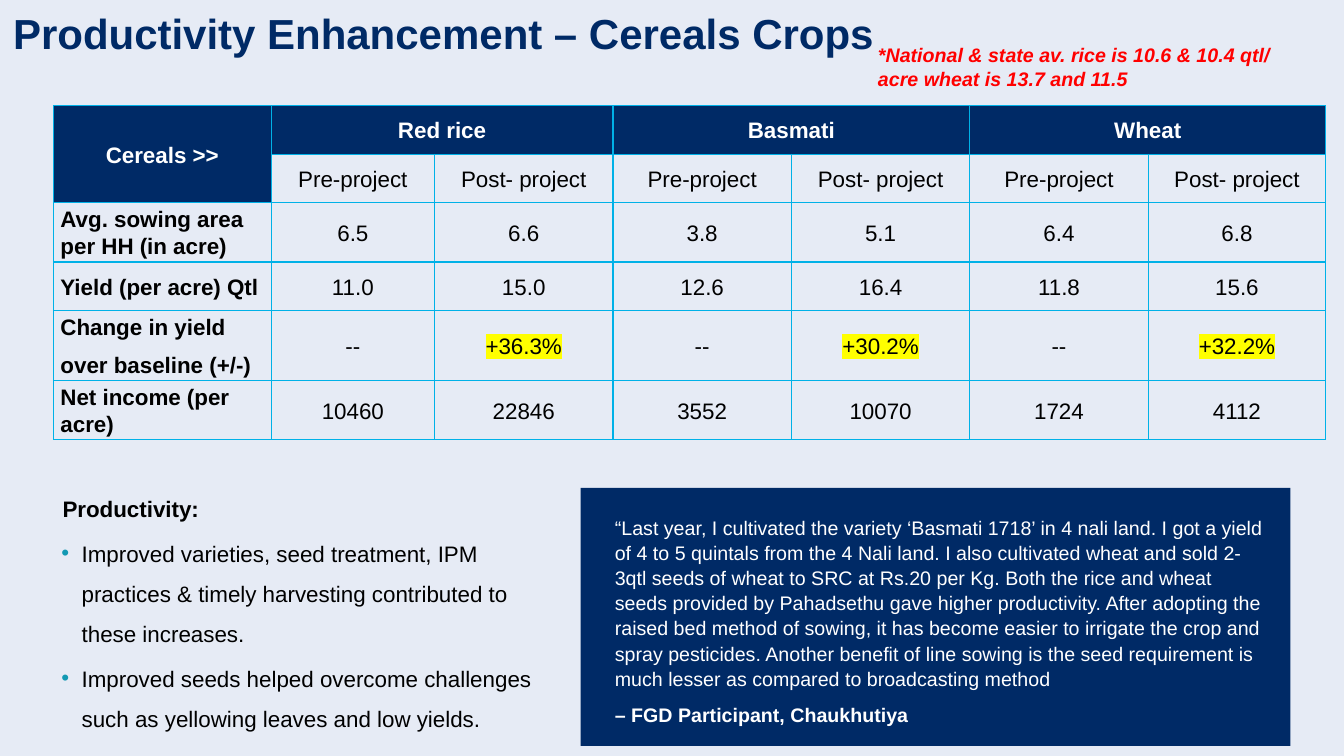
"""Build the slide on cereal yields."""
import dataclasses

import lxml.etree
import pptx
import pptx.dml.color
import pptx.enum.shapes
import pptx.enum.text
import pptx.oxml.ns
import pptx.util

Inches = pptx.util.Inches
Pt = pptx.util.Pt
Align = pptx.enum.text.PP_ALIGN
Anchor = pptx.enum.text.MSO_ANCHOR
Fit = pptx.enum.text.MSO_AUTO_SIZE
qn = pptx.oxml.ns.qn


@dataclasses.dataclass(frozen=True)
class Theme:
    """Hold the colours, font and type sizes."""
    font: str = "Arial"
    back: str = "E6EBF5"
    navy: str = "002A66"
    white: str = "FFFFFF"
    black: str = "000000"
    red: str = "FF0000"
    mark: str = "FFFF00"
    line: str = "00B1E7"
    dot: str = "1299B3"
    head: int = 30
    text: int = 16
    small: int = 14


THEME = Theme()
CROPS = ["Red rice", "Basmati", "Wheat"]
STAGES = ["Pre-project", "Post- project"]
ROWS = [
    ["Avg. sowing area per HH (in acre)", "6.5", "6.6", "3.8", "5.1", "6.4", "6.8"],
    ["Yield (per acre) Qtl", "11.0", "15.0", "12.6", "16.4", "11.8", "15.6"],
    ["Change in yield\nover baseline (+/-)", "--", "+36.3%", "--", "+30.2%", "--", "+32.2%"],
    ["Net income (per acre)", "10460", "22846", "3552", "10070", "1724", "4112"],
]
WIDTHS = [2.16, 1.62, 1.77, 1.77, 1.77, 1.77, 1.76]
HEIGHTS = [0.48, 0.48, 0.59, 0.48, 0.49, 0.48]
POINTS = [
    "Productivity:",
    "Improved varieties, seed treatment, IPM practices & timely harvesting contributed to these increases.",
    "Improved seeds helped overcome challenges such as yellowing leaves and low yields.",
]
QUOTE = (
    "“Last year, I cultivated the variety ‘Basmati 1718’ in 4 nali land. I got a yield of 4 to 5 "
    "quintals from the 4 Nali land. I also cultivated wheat and sold 2-3qtl seeds of wheat to SRC at "
    "Rs.20 per Kg. Both the rice and wheat seeds provided by Pahadsethu gave higher productivity. "
    "After adopting the raised bed method of sowing, it has become easier to irrigate the crop and "
    "spray pesticides. Another benefit of line sowing is the seed requirement is much lesser as "
    "compared to broadcasting method"
)
SPEAKER = "– FGD Participant, Chaukhutiya"


def paint(fill, shade):
    """Give a fill one solid colour."""
    fill.solid()
    fill.fore_color.rgb = pptx.dml.color.RGBColor.from_string(shade)


def style(par, size, shade, bold=False, slant=False, space=1, after=0, before=0, align=Align.LEFT):
    """Format a paragraph and its runs."""
    par.alignment, par.line_spacing = align, space
    par.space_before, par.space_after = Pt(before), Pt(after)
    for run in par.runs:
        font = run.font
        font.name, font.size = THEME.font, Pt(size)
        font.bold, font.italic = bold, slant
        paint(font.fill, shade)


def place(shape, box):
    """Move a shape into a box given in inches."""
    shape.left, shape.top, shape.width, shape.height = map(Inches, box)


def title(slide, box):
    """Fill the title placeholder."""
    shape = slide.shapes.title
    place(shape, box)
    frame = shape.text_frame
    frame.text = "Productivity Enhancement – Cereals Crops"
    frame.auto_size, frame.vertical_anchor = Fit.NONE, Anchor.MIDDLE
    frame.margin_left = frame.margin_right = Inches(0.13)
    frame.margin_top = frame.margin_bottom = Inches(0.13)
    style(frame.paragraphs[0], THEME.head, THEME.navy, bold=True, space=0.9)


def note(slide, box):
    """Add the red note on average yields."""
    frame = slide.shapes.add_textbox(*map(Inches, box)).text_frame
    frame.word_wrap = True
    frame.text = "*National & state av. rice is 10.6 & 10.4 qtl/ acre wheat is 13.7 and 11.5"
    style(frame.paragraphs[0], THEME.small, THEME.red, bold=True, slant=True)


def border(cell):
    """Draw thin lines on all sides of a cell."""
    props = cell._tc.get_or_add_tcPr()
    for side in ("a:lnL", "a:lnR", "a:lnT", "a:lnB"):
        line = lxml.etree.SubElement(props, qn(side), w=str(Pt(1)))
        solid = lxml.etree.SubElement(line, qn("a:solidFill"))
        lxml.etree.SubElement(solid, qn("a:srgbClr"), val=THEME.line)


def mark(run):
    """Put a highlight behind a run."""
    glow = lxml.etree.Element(qn("a:highlight"))
    lxml.etree.SubElement(glow, qn("a:srgbClr"), val=THEME.mark)
    run._r.rPr.find(qn("a:solidFill")).addnext(glow)


def write(cell, text, head, label):
    """Fill one table cell with text and format it."""
    cell.text = text
    cell.vertical_anchor = Anchor.MIDDLE
    cell.margin_left = cell.margin_right = Inches(0.07)
    cell.margin_top = cell.margin_bottom = 0
    border(cell)
    if head:
        paint(cell.fill, THEME.navy)
    else:
        cell.fill.background()
    shade = THEME.white if head else THEME.black
    align = Align.LEFT if label and not head else Align.CENTER
    for par in cell.text_frame.paragraphs:
        style(par, THEME.text, shade, bold=head or label, space=1.1, after=8, align=align)
        if text.startswith("+"):
            mark(par.runs[0])


def grid(slide, box):
    """Add the table of crops before and after the project."""
    crops = [text for crop in CROPS for text in (crop, "")]
    rows = [["Cereals >>"] + crops, [""] + STAGES * len(CROPS)] + ROWS
    frame = slide.shapes.add_table(len(rows), len(WIDTHS), *map(Inches, box))
    table = frame.table
    table.first_row = table.horz_banding = False
    for col, width in zip(table.columns, WIDTHS):
        col.width = Inches(width)
    for row, height in zip(table.rows, HEIGHTS):
        row.height = Inches(height)
    for r, row in enumerate(rows):
        for c, text in enumerate(row):
            write(table.cell(r, c), text, r == 0 or (r == 1 and c == 0), c == 0)
    table.cell(0, 0).merge(table.cell(1, 0))
    for c in range(1, len(WIDTHS), 2):
        table.cell(0, c).merge(table.cell(0, c + 1))


def bullet(par, first):
    """Set the indent of a paragraph, with a dot unless it is first."""
    props = par._p.get_or_add_pPr()
    props.set("marL", str(Inches(0.12 if first else 0.31)))
    props.set("indent", str(Inches(0 if first else -0.2)))
    if first:
        lxml.etree.SubElement(props, qn("a:buNone"))
        return
    shade = lxml.etree.SubElement(props, qn("a:buClr"))
    lxml.etree.SubElement(shade, qn("a:srgbClr"), val=THEME.dot)
    lxml.etree.SubElement(props, qn("a:buFont"), typeface=THEME.font)
    lxml.etree.SubElement(props, qn("a:buChar"), char="•")


def points(slide, box):
    """Fill the body placeholder with the findings."""
    shape = slide.placeholders[1]
    place(shape, box)
    frame = shape.text_frame
    frame.text = "\n".join(POINTS)
    frame.auto_size, frame.vertical_anchor = Fit.NONE, Anchor.TOP
    for i, par in enumerate(frame.paragraphs):
        bullet(par, i == 0)
        style(par, THEME.text, THEME.black, bold=i == 0, space=1.5, before=3 if i else 0)


def quote(slide, box):
    """Add the navy panel and the words of a farmer."""
    left, top, width, height = box
    panel = slide.shapes.add_shape(pptx.enum.shapes.MSO_SHAPE.RECTANGLE, *map(Inches, box))
    panel.shadow.inherit = False
    paint(panel.fill, THEME.navy)
    panel.line.fill.background()
    inner = (left + 0.24, top + 0.21, width - 0.38, height - 0.21)
    frame = slide.shapes.add_textbox(*map(Inches, inner)).text_frame
    frame.word_wrap = True
    frame.text = QUOTE + "\n" + SPEAKER
    for i, par in enumerate(frame.paragraphs):
        style(par, THEME.small, THEME.white, bold=i == 1, space=1.07, after=8)


def main():
    """Build and save the deck."""
    deck = pptx.Presentation()
    deck.slide_width, deck.slide_height = Inches(13.33), Inches(7.5)
    slide = deck.slides.add_slide(deck.slide_layouts[1])
    paint(slide.background.fill, THEME.back)
    title(slide, (0, -0.01, 10.87, 0.73))
    note(slide, (8.61, 0.38, 4.53, 0.57))
    points(slide, (0.4, 4.73, 5.07, 2.56))
    grid(slide, (0.53, 1.05, sum(WIDTHS), sum(HEIGHTS)))
    quote(slide, (5.76, 4.84, 7.04, 2.56))
    deck.save("out.pptx")


if __name__ == "__main__":
    main()
